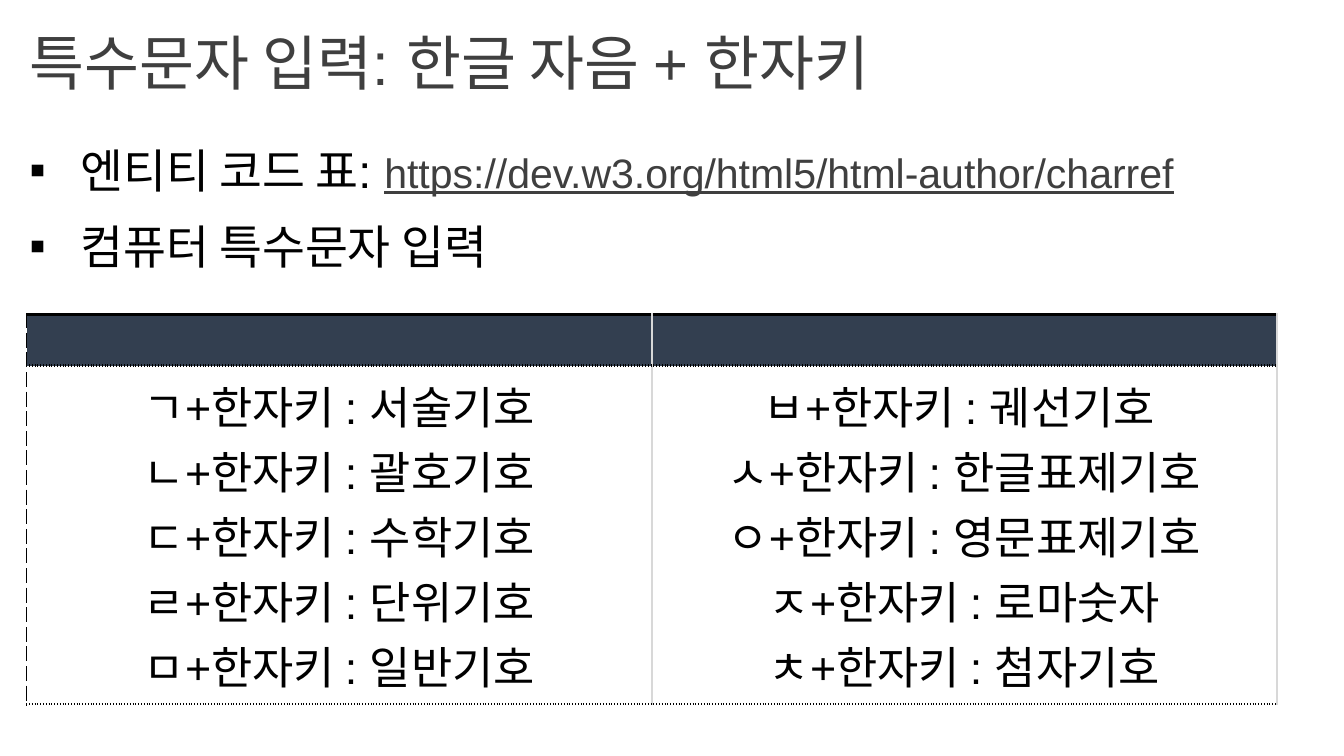
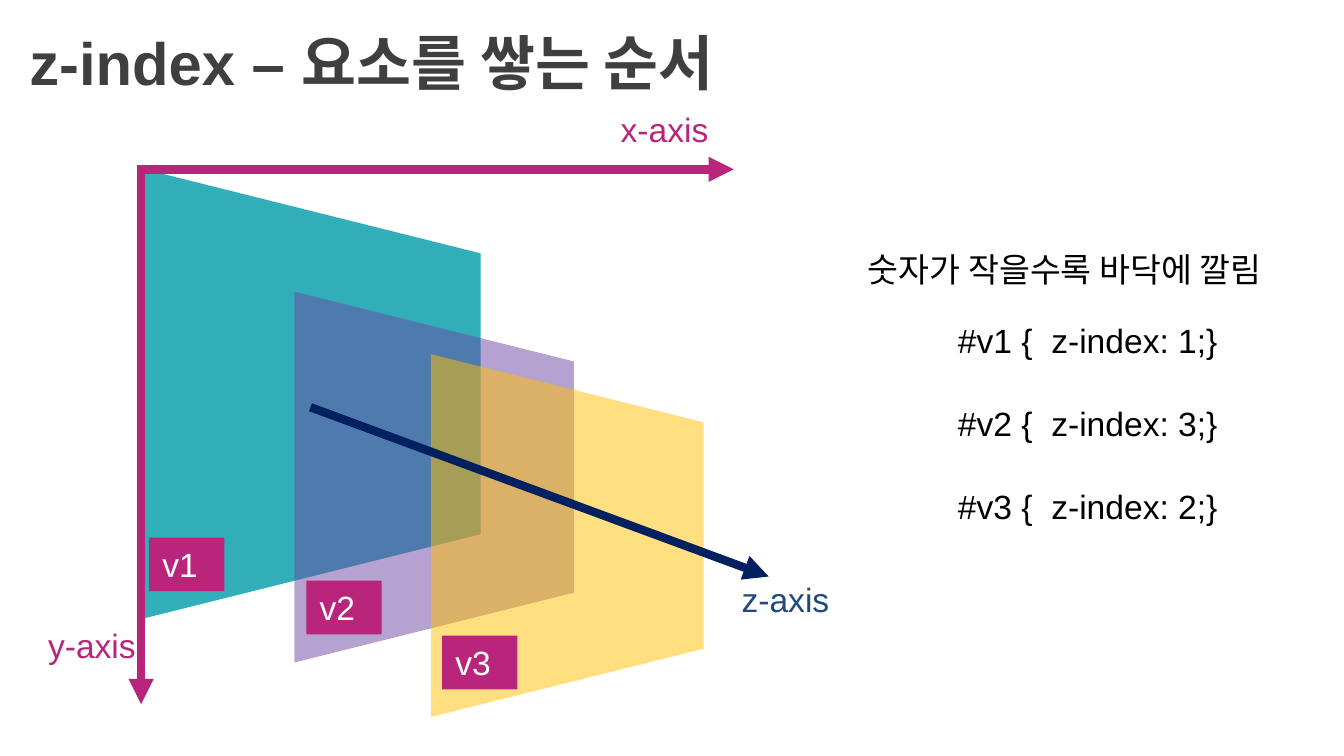
from lxml import etree
from pptx import Presentation
from pptx.dml.color import RGBColor
from pptx.enum.shapes import MSO_CONNECTOR, MSO_SHAPE
from pptx.enum.text import MSO_ANCHOR, PP_ALIGN
from pptx.oxml import parse_xml
from pptx.oxml.ns import nsdecls, qn
from pptx.util import Inches, Pt

# Shared colours and font
FONT = "Arial"
BLACK = RGBColor(0x00, 0x00, 0x00)
WHITE = RGBColor(0xFF, 0xFF, 0xFF)
GRAY = RGBColor(0x3F, 0x3F, 0x3F)
LIGHT_GRAY = RGBColor(0xD8, 0xD8, 0xD8)
SLATE = RGBColor(0x33, 0x3F, 0x50)
MAGENTA = RGBColor(0xB9, 0x25, 0x7A)
NAVY = RGBColor(0x00, 0x20, 0x60)
BLUE = RGBColor(0x1F, 0x49, 0x7D)
TEAL = RGBColor(0x32, 0xAE, 0xB8)
PURPLE = RGBColor(0x6C, 0x47, 0xA3)
YELLOW = RGBColor(0xFF, 0xC0, 0x00)

# Table borders: colour, width in points, dash
SOLID_TOP = (BLACK, 1.5, "solid")
DOTTED = (BLACK, 1.5, "sysDot")
DASHED_LEFT = (BLACK, 0.75, "dash")
THIN = (LIGHT_GRAY, 1, "solid")


def add_run(p, text, size=18, color=BLACK, bold=False, underline=False):
    r = p.add_run()
    r.text = text
    font = r.font
    font.name, font.size, font.bold = FONT, Pt(size), bold
    font.underline = underline
    font.color.rgb = color


def add_text(s, text, x, y, w, h=0.4, anchor=MSO_ANCHOR.TOP, **fmt):
    tf = s.shapes.add_textbox(Inches(x), Inches(y), Inches(w), Inches(h)).text_frame
    tf.word_wrap = True
    tf.vertical_anchor = anchor
    if text:
        add_run(tf.paragraphs[0], text, **fmt)
    return tf


def add_title(s, text, bold=False):
    add_text(s, text, 0.12, 0.14, 9.69, 0.63, MSO_ANCHOR.MIDDLE,
             size=32, color=GRAY, bold=bold)


def add_bullets(s, items, x, y, w, h):
    """Each item is a list of (text, format) runs."""
    tf = add_text(s, "", x, y, w, h)
    for i, runs in enumerate(items):
        p = tf.add_paragraph() if i else tf.paragraphs[0]
        p.line_spacing = 1.2
        if i:
            p.space_before = Pt(5)
        pPr = p._p.get_or_add_pPr()
        pPr.set("marL", str(Inches(0.38)))
        pPr.set("indent", str(-Inches(0.38)))
        color = etree.SubElement(pPr, qn("a:buClr"))
        etree.SubElement(color, qn("a:srgbClr"), val=str(BLACK))
        etree.SubElement(pPr, qn("a:buFont"), typeface=FONT)
        etree.SubElement(pPr, qn("a:buChar"), char="▪")
        for text, fmt in runs:
            add_run(p, text, **fmt)


def set_borders(cell, left, right, top, bottom):
    tcPr = cell._tc.get_or_add_tcPr()
    sides = zip("LRTB", (left, right, top, bottom))
    for i, (side, (color, width, dash)) in enumerate(sides):
        tcPr.insert(i, parse_xml(
            f'<a:ln{side} {nsdecls("a")} w="{Pt(width)}"><a:solidFill>'
            f'<a:srgbClr val="{color}"/></a:solidFill>'
            f'<a:prstDash val="{dash}"/></a:ln{side}>'))


def add_key_table(s, columns, x, y, col_w, row_heights):
    """An empty dark header above one cell of centred lines per column."""
    frame = s.shapes.add_table(2, len(columns), Inches(x), Inches(y),
                               Inches(col_w * len(columns)), Inches(sum(row_heights)))
    table = frame.table
    table.first_row = table.horz_banding = False
    for row, height in zip(table.rows, row_heights):
        row.height = Inches(height)
    for c, lines in enumerate(columns):
        table.columns[c].width = Inches(col_w)
        left = THIN if c else DASHED_LEFT
        header, body = table.cell(0, c), table.cell(1, c)
        header.margin_top = header.margin_bottom = Inches(0.04)
        header.fill.solid()
        header.fill.fore_color.rgb = SLATE
        body.fill.background()
        set_borders(header, left, THIN, SOLID_TOP, DOTTED)
        set_borders(body, left, THIN, DOTTED, DOTTED)
        body.vertical_anchor = MSO_ANCHOR.MIDDLE
        tf = body.text_frame
        for i, line in enumerate(lines):
            p = tf.add_paragraph() if i else tf.paragraphs[0]
            p.alignment = PP_ALIGN.CENTER
            add_run(p, line, size=24)


def add_filled(s, kind, x, y, w, h, color, alpha=100):
    sp = s.shapes.add_shape(kind, Inches(x), Inches(y), Inches(w), Inches(h))
    sp.shadow.inherit = False
    sp.fill.solid()
    sp.fill.fore_color.rgb = color
    sp.line.fill.background()
    if alpha < 100:
        clr = sp._element.spPr.find(qn("a:solidFill")).find(qn("a:srgbClr"))
        etree.SubElement(clr, qn("a:alpha"), val=str(alpha * 1000))
    return sp


def add_layer(s, x, y, w, h, color, alpha=100):
    sp = add_filled(s, MSO_SHAPE.TRAPEZOID, x, y, w, h, color, alpha)
    sp.adjustments[0] = 0.25
    sp.rotation = 90


def add_tag(s, text, x, y):
    sp = add_filled(s, MSO_SHAPE.RECTANGLE, x, y, 0.56, 0.4, MAGENTA)
    tf = sp.text_frame
    tf.vertical_anchor = MSO_ANCHOR.TOP
    p = tf.paragraphs[0]
    p.alignment = PP_ALIGN.LEFT
    add_run(p, text, color=WHITE)


def add_axis(s, x1, y1, x2, y2, color):
    line = s.shapes.add_connector(MSO_CONNECTOR.STRAIGHT, Inches(x1), Inches(y1),
                                  Inches(x2), Inches(y2))
    line.line.color.rgb = color
    line.line.width = Pt(4.5)
    ln = line._element.spPr.find(qn("a:ln"))
    etree.SubElement(ln, qn("a:tailEnd"), type="triangle")
    etree.SubElement(line._element.spPr, qn("a:effectLst"))


def build_special_chars(s):
    add_title(s, "특수문자 입력: 한글 자음 + 한자키")
    add_bullets(s, [
        [("엔티티 코드 표: ", dict(size=25)),
         ("https://dev.w3.org/html5/html-author/charref",
          dict(size=22, color=GRAY, underline=True))],
        [("컴퓨터 특수문자 입력", dict(size=25))],
    ], 0.12, 0.92, 9.69, 4.33)
    names = [
        [("ㄱ", "서술기호"), ("ㄴ", "괄호기호"), ("ㄷ", "수학기호"),
         ("ㄹ", "단위기호"), ("ㅁ", "일반기호")],
        [("ㅂ", "궤선기호 "), ("ㅅ", "한글표제기호"), ("ㅇ", "영문표제기호"),
         ("ㅈ", "로마숫자"), ("ㅊ", "첨자기호")],
    ]
    columns = [[f"{key}+한자키 : {name}" for key, name in column] for column in names]
    add_key_table(s, columns, 0.2, 2.34, 4.65, (0.38, 2.52))


def build_z_index(s):
    add_title(s, "z-index – 요소를 쌓는 순서", bold=True)

    # Stacking rules
    for i, z in enumerate((1, 3, 2)):
        add_text(s, f"#v{i + 1} {{  z-index: {z};}}", 7.03, 2.33 + 0.62 * i, 2.76)

    # Layers
    add_layer(s, 0.64, 1.67, 3.35, 2.52, TEAL)
    add_layer(s, 1.85, 2.51, 2.76, 2.08, PURPLE, alpha=50)
    add_layer(s, 2.87, 2.97, 2.7, 2.03, YELLOW, alpha=50)

    # Axes and their names
    for name, ends, line_color, x, y, color in (
            ("x", (1.05, 1.26, 5.46, 1.26), MAGENTA, 4.52, 0.76, MAGENTA),
            ("y", (1.05, 1.23, 1.05, 5.24), MAGENTA, 0.26, 4.6, MAGENTA),
            ("z", (2.31, 3.03, 5.72, 4.29), NAVY, 5.42, 4.26, BLUE)):
        add_axis(s, *ends, line_color)
        add_text(s, f"{name}-axis", x, y, 0.94, color=color)

    # Layer tags
    for name, x, y in (("v1", 1.11, 4), ("v2", 2.28, 4.32), ("v3", 3.29, 4.73)):
        add_tag(s, name, x, y)

    add_text(s, "숫자가 작을수록 바닥에 깔림", 6.36, 1.8, 3.61)


def main():
    prs = Presentation()
    # Widescreen 16:9
    prs.slide_width, prs.slide_height = Inches(10), Inches(10 * 9 / 16)
    for build in (build_special_chars, build_z_index):
        build(prs.slides.add_slide(prs.slide_layouts[6]))
    prs.save("out.pptx")


if __name__ == "__main__":
    main()
